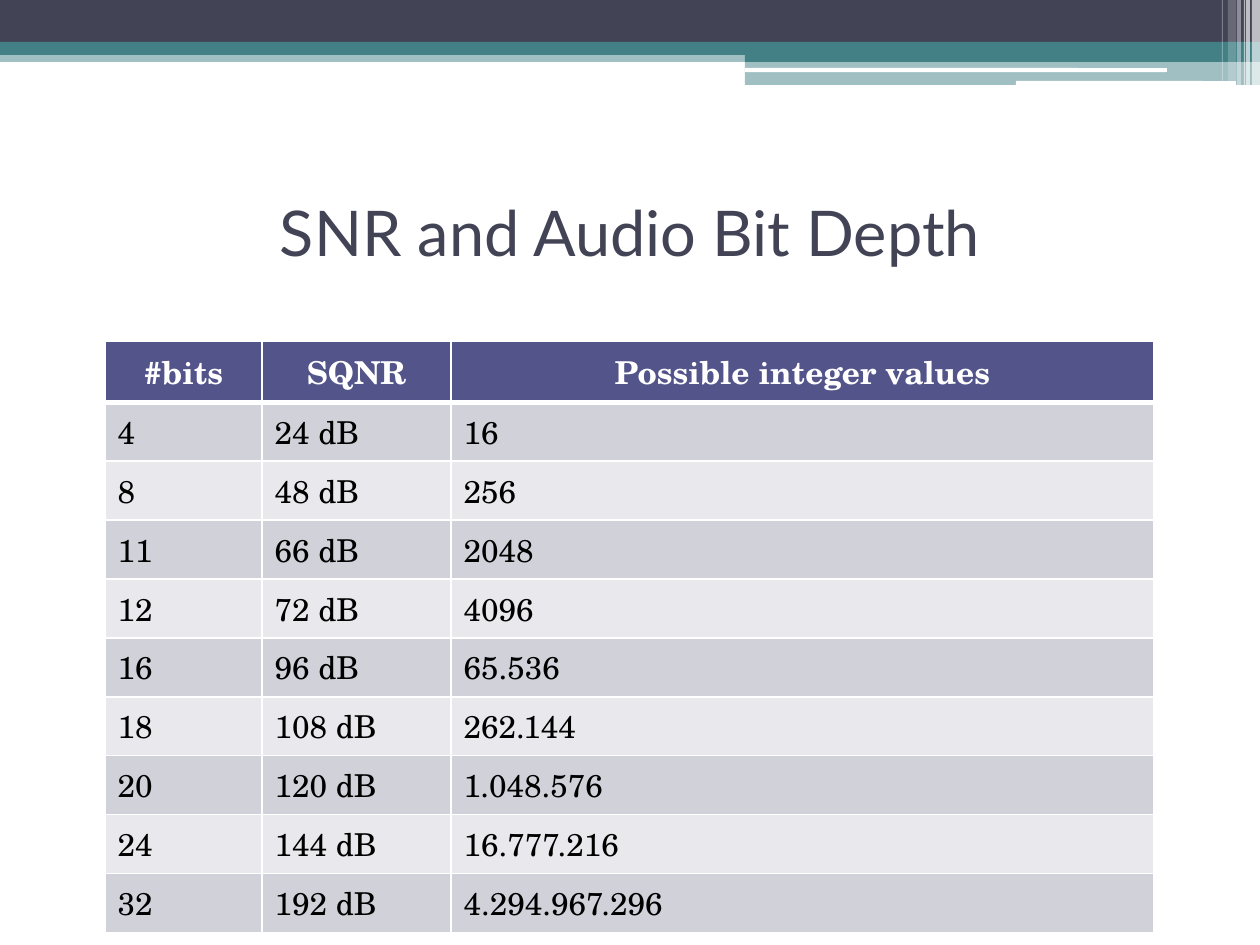
from lxml.etree import SubElement
from pptx import Presentation
from pptx.dml.color import RGBColor
from pptx.enum.shapes import MSO_SHAPE
from pptx.enum.text import MSO_ANCHOR, PP_ALIGN
from pptx.oxml.ns import qn
from pptx.util import Pt

PX = 914400 // 126
WHITE = RGBColor(0xFF, 0xFF, 0xFF)
BLACK = RGBColor(0, 0, 0)
SLATE = RGBColor(0x42, 0x44, 0x56)
TEAL = RGBColor(0x43, 0x80, 0x86)
INDIGO = RGBColor(0x53, 0x54, 0x8A)
BANDS = RGBColor(0xD1, 0xD1, 0xDA), RGBColor(0xE9, 0xE9, 0xED)

# Left, top, width, height, colour, opacity in percent
BARS = [
    (0, 50, 1260, 12, TEAL, 50),
    (0, 0, 1260, 42, SLATE, 100),
    (0, 42, 1260, 13, TEAL, 100),
    (745, 49, 515, 13, TEAL, 100),
    (745, 62, 515, 23, TEAL, 50),
]
LINES = [(745, 68, 422, 4), (1016, 81, 220, 5)]
# Left, width, height, opacity in percent
STRIPES = [
    (1252, 8, 85, 65), (1246, 4, 85, 65), (1244, 1, 85, 60),
    (1237, 4, 85, 40), (1228, 8, 81, 20), (1222, 1, 81, 30),
]

COLS = [157, 189, 703]
ROW = 51
DATA = [
    ("#bits", "SQNR", "Possible integer values"),
    ("4", "24 dB", "16"),
    ("8", "48 dB", "256"),
    ("11", "66 dB", "2048"),
    ("12", "72 dB", "4096"),
    ("16", "96 dB", "65.536"),
    ("18", "108 dB", "262.144"),
    ("20", "120 dB", "1.048.576"),
    ("24", "144 dB", "16.777.216"),
    ("32", "192 dB", "4.294.967.296"),
]


def px(*vals):
    return [val * PX for val in vals]


def style(para, font, size, color, bold=False, align=PP_ALIGN.LEFT):
    para.alignment = align
    para.font.name = font
    para.font.size = Pt(size)
    para.font.bold = bold
    para.font.color.rgb = color


def add_bar(slide, box, color, alpha=100, kind=MSO_SHAPE.RECTANGLE):
    bar = slide.shapes.add_shape(kind, *px(*box))
    bar.shadow.inherit = False
    bar.line.fill.background()
    bar.fill.solid()
    bar.fill.fore_color.rgb = color
    if alpha < 100:
        tone = bar.fill._xPr.find(".//" + qn("a:srgbClr"))
        SubElement(tone, qn("a:alpha"), val=str(alpha * 1000))


def add_title(slide, text):
    title = slide.shapes.title
    title.left, title.top, title.width, title.height = px(63, 158, 1134, 147)
    title.text_frame.text = text
    title.text_frame.vertical_anchor = MSO_ANCHOR.MIDDLE
    style(title.text_frame.paragraphs[0], "Lato", 36, SLATE,
          align=PP_ALIGN.CENTER)


def set_edges(cell, head, first):
    # Borders come before the fill in the cell properties
    props = cell._tc.get_or_add_tcPr()
    widths = {"L": 1, "R": 1, "T": 3 if first else 1, "B": 3 if head else 1}
    for side, width in widths.items():
        edge = SubElement(props, qn("a:ln" + side), w=str(Pt(width)))
        fill = SubElement(edge, qn("a:solidFill"))
        SubElement(fill, qn("a:srgbClr"), val=str(WHITE))


def add_grid(slide, left, top):
    size = px(left, top, sum(COLS), ROW * len(DATA))
    grid = slide.shapes.add_table(len(DATA), len(COLS), *size).table
    for col, width in zip(grid.columns, COLS):
        col.width = width * PX
    for r, row in enumerate(DATA):
        grid.rows[r].height = ROW * PX
        head = r == 0
        for c, text in enumerate(row):
            cell = grid.cell(r, c)
            cell.text = text
            set_edges(cell, head, r == 1)
            cell.fill.solid()
            cell.fill.fore_color.rgb = INDIGO if head else BANDS[(r - 1) % 2]
            style(cell.text_frame.paragraphs[0], "TeX Gyre Schola", 18,
                  WHITE if head else BLACK, head,
                  PP_ALIGN.CENTER if head else PP_ALIGN.LEFT)


def main():
    deck = Presentation()
    deck.slide_width, deck.slide_height = px(1260, 945)
    slide = deck.slides.add_slide(deck.slide_layouts[5])

    # Header band
    for *box, color, alpha in BARS:
        add_bar(slide, box, color, alpha)
    for box in LINES:
        add_bar(slide, box, WHITE, kind=MSO_SHAPE.ROUNDED_RECTANGLE)
    for left, width, height, alpha in STRIPES:
        add_bar(slide, (left, 0, width, height), WHITE, alpha)

    # Content
    add_title(slide, "SNR and Audio Bit Depth")
    add_grid(slide, 105, 341)
    deck.save("out.pptx")


main()
